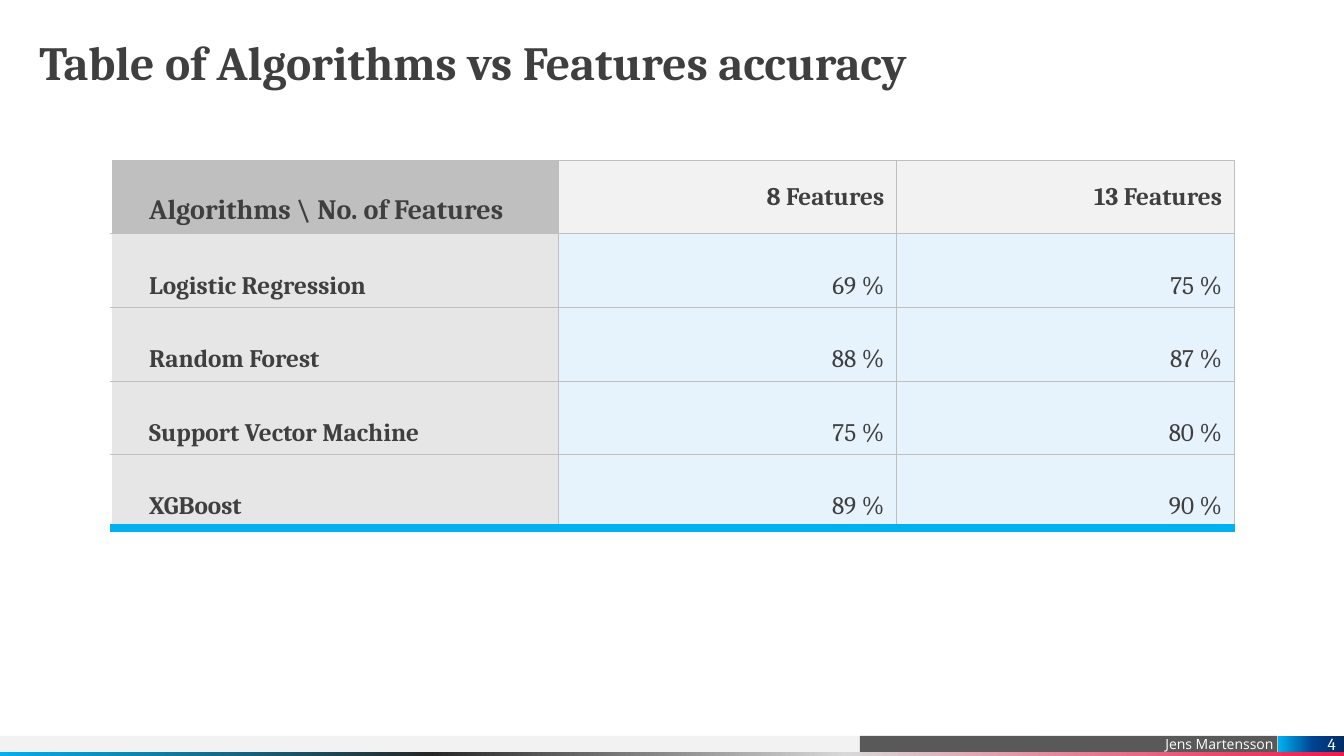
import pptx
import pptx.util
import pptx.dml.color
import pptx.enum.shapes
import pptx.enum.text
import pptx.oxml
import pptx.oxml.ns

Inches, Pt = pptx.util.Inches, pptx.util.Pt
ALIGN, ANCHOR = pptx.enum.text.PP_ALIGN, pptx.enum.text.MSO_ANCHOR

# Content
TITLE = "Table of Algorithms vs Features accuracy"
PRESENTER = "Jens Martensson"
PAGE = "4"
ROWS = [
    ("Algorithms \\ No. of Features", "8 Features", "13 Features"),
    ("Logistic Regression", "69 %", "75 %"),
    ("Random Forest", "88 %", "87 %"),
    ("Support Vector Machine", "75 %", "80 %"),
    ("XGBoost", "89 %", "90 %"),
]
COLORS = {
    "text": "3F3F3F", "white": "FFFFFF", "corner": "BFBFBF", "header": "F2F2F2",
    "label": "E7E6E6", "value": "E6F2FC", "border": "BFBFBF", "accent": "00B0F0",
    "light": "F2F2F2", "dark": "595959",
}
STRIPE = [(0, "F2194A"), (37, "D8D8D8"), (68, "262626"), (100, "00B0F0")]
BADGE = [(0, "002D63"), (47, "004290"), (100, "00B0F0")]

# Layout
COL_WIDTHS = (4.44, 3.35, 3.35)
ROW_HEIGHT = 0.73
TABLE_LEFT, TABLE_TOP = 1.1, 1.59
BAR_TOP, BAR_HEIGHT = 7.3, 0.16


def rgb(name):
    return pptx.dml.color.RGBColor.from_string(COLORS[name])


def set_margins(target, left, top, right, bottom):
    target.margin_left, target.margin_top = Inches(left), Inches(top)
    target.margin_right, target.margin_bottom = Inches(right), Inches(bottom)


def write(tf, text, size, color, font="Cambria", bold=False, align=ALIGN.LEFT):
    p = tf.paragraphs[0]
    p.text = text
    p.alignment = align
    p.font.name, p.font.size, p.font.bold = font, Pt(size), bold
    p.font.color.rgb = rgb(color)
    return p


def add_bar(s, left, top, width, height, fill):
    """Add a rectangle; fill is a colour name or a list of gradient stops."""
    sp = s.shapes.add_shape(pptx.enum.shapes.MSO_SHAPE.RECTANGLE,
                            Inches(left), Inches(top), Inches(width), Inches(height))
    sp.shadow.inherit = False
    sp.line.fill.background()
    if isinstance(fill, str):
        sp.fill.solid()
        sp.fill.fore_color.rgb = rgb(fill)
    else:
        sp.fill.gradient()
        sp.fill.gradient_angle = 180
        stops = sp._element.spPr.find(".//" + pptx.oxml.ns.qn("a:gsLst"))
        for stop in list(stops):
            stops.remove(stop)
        for position, color in fill:
            stops.append(pptx.oxml.parse_xml(
                f'<a:gs {pptx.oxml.ns.nsdecls("a")} pos="{position * 1000}">'
                f'<a:srgbClr val="{color}"/></a:gs>'))
    return sp


def set_borders(cell, borders):
    """Borders are (side, colour name, points), in the order L, R, T, B."""
    tcPr = cell._tc.get_or_add_tcPr()
    for i, (side, color, width) in enumerate(borders):
        tcPr.insert(i, pptx.oxml.parse_xml(
            f'<a:ln{side} {pptx.oxml.ns.nsdecls("a")} w="{Pt(width)}">'
            f'<a:solidFill><a:srgbClr val="{COLORS[color]}"/></a:solidFill></a:ln{side}>'))


def add_accuracy_table(s):
    table = s.shapes.add_table(
        len(ROWS), len(COL_WIDTHS), Inches(TABLE_LEFT), Inches(TABLE_TOP),
        Inches(sum(COL_WIDTHS)), Inches(ROW_HEIGHT * len(ROWS))).table
    table.first_row = table.horz_banding = False
    for column, width in zip(table.columns, COL_WIDTHS):
        column.width = Inches(width)
    for r, row in enumerate(ROWS):
        table.rows[r].height = Inches(ROW_HEIGHT)
        for c, text in enumerate(row):
            cell = table.cell(r, c)
            header, label, last = r == 0, c == 0, r == len(ROWS) - 1
            if header:
                fill = "corner" if label else "header"
            else:
                fill = "label" if label else "value"
            cell.fill.solid()
            cell.fill.fore_color.rgb = rgb(fill)
            cell.vertical_anchor = ANCHOR.MIDDLE if header and not label else ANCHOR.BOTTOM
            set_margins(cell, 0.38 if label else 0.12, 0.07, 0.12, 0.07)
            write(cell.text_frame, text, 20 if header and label else 18, "text",
                  bold=header or label, align=ALIGN.LEFT if label else ALIGN.RIGHT)
            sides = "RTB" if label else "LRTB"
            set_borders(cell, [(side, "accent", 6) if last and side == "B"
                               else (side, "border", 0.75) for side in sides])


def main():
    prs = pptx.Presentation()
    prs.slide_width, prs.slide_height = Inches(13.33), Inches(7.5)
    s = prs.slides.add_slide(prs.slide_layouts[5])

    # Footer bars
    add_bar(s, -0.01, BAR_TOP, 10.29, BAR_HEIGHT, "light")
    presenter = add_bar(s, 8.53, BAR_TOP, 4.14, BAR_HEIGHT, "dark")
    set_margins(presenter.text_frame, 0.1, 0, 0.04, 0)
    presenter.text_frame.vertical_anchor = ANCHOR.BOTTOM
    write(presenter.text_frame, PRESENTER, 10, "white", "Open Sans", align=ALIGN.RIGHT)
    add_bar(s, -0.01, 7.46, 13.34, 0.04, STRIPE)

    # Title
    title = s.shapes.title
    title.left, title.top = Inches(0.39), Inches(0.39)
    title.width, title.height = Inches(12.55), Inches(0.59)
    tf = title.text_frame
    tf.auto_size = pptx.enum.text.MSO_AUTO_SIZE.NONE
    tf.vertical_anchor = ANCHOR.TOP
    set_margins(tf, 0, 0, 0, 0)
    write(tf, TITLE, 34, "text", bold=True).line_spacing = 0.9

    # Table
    add_accuracy_table(s)

    # Page number
    badge = add_bar(s, 12.68, BAR_TOP, 0.65, BAR_HEIGHT, BADGE)
    set_margins(badge.text_frame, 0, 0, 0.08, 0)
    badge.text_frame.vertical_anchor = ANCHOR.MIDDLE
    write(badge.text_frame, PAGE, 12, "white", align=ALIGN.RIGHT)

    prs.save("out.pptx")


if __name__ == "__main__":
    main()
